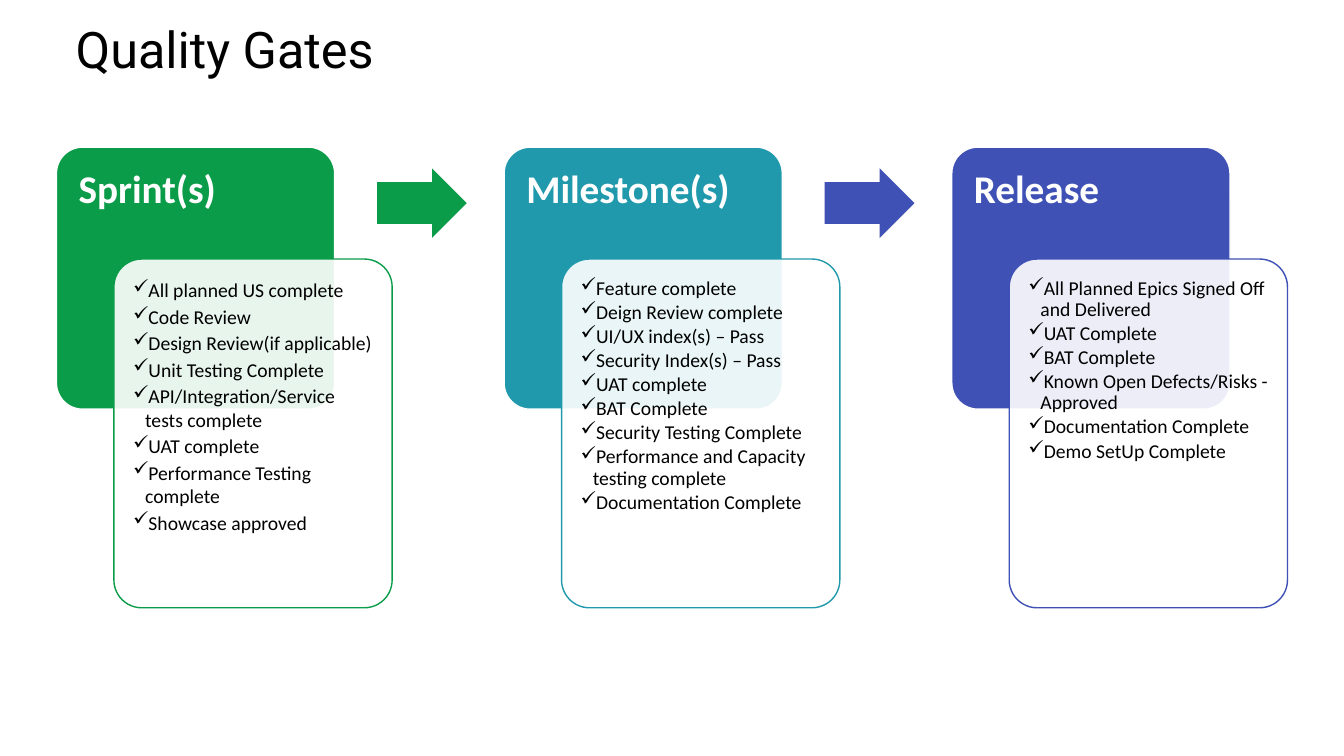
from lxml import etree
from pptx import Presentation
from pptx.dml.color import RGBColor
from pptx.enum import shapes, text
from pptx.oxml import ns
from pptx.util import Inches, Pt

COLOURS = {"black": "000000", "white": "FFFFFF", "green": "0B9C49",
           "teal": "2199AC", "indigo": "3F51B5"}
GATES = [
    ("Sprint(s)", "green", 1.0, [
        "All planned US complete", "Code Review", "Design Review(if applicable)",
        "Unit Testing Complete", "API/Integration/Service tests complete",
        "UAT complete", "Performance Testing complete", "Showcase approved"]),
    ("Milestone(s)", "teal", 0.9, [
        "Feature complete", "Deign Review complete", "UI/UX index(s) – Pass",
        "Security Index(s) – Pass", "UAT complete", "BAT Complete",
        "Security Testing Complete", "Performance and Capacity testing complete",
        "Documentation Complete"]),
    ("Release", "indigo", 0.9, [
        "All Planned Epics Signed Off and Delivered", "UAT Complete", "BAT Complete",
        "Known Open Defects/Risks - Approved", "Documentation Complete",
        "Demo SetUp Complete"]),
]
ARROW_COLOURS = ["green", "indigo"]
GATE_LEFT, GATE_TOP, GATE_PITCH = 0.56, 1.46, 4.44
CARD_WIDTH = 2.76


def rgb(name):
    return RGBColor.from_string(COLOURS[name])


def style_font(para, name, size, colour, bold=False):
    for span in para.runs:
        span.font.name = name
        span.font.size = Pt(size)
        span.font.bold = bold
        span.font.color.rgb = rgb(colour)


def add_block(page, kind, box, fill, line=None, adjustments=(0.1,)):
    block = page.shapes.add_shape(kind, *map(Inches, box))
    block.shadow.inherit = False
    for index, value in enumerate(adjustments):
        block.adjustments[index] = value
    block.fill.solid()
    block.fill.fore_color.rgb = rgb(fill)
    if line:
        block.line.color.rgb = rgb(line)
        block.line.width = Pt(1)
    else:
        block.line.fill.background()
    return block


def set_opacity(block, percent):
    colour = block._element.spPr.find(ns.qn("a:solidFill"))[0]
    etree.SubElement(colour, ns.qn("a:alpha")).set("val", str(percent * 1000))


def add_text(page, box, insets):
    frame = page.shapes.add_textbox(*map(Inches, box)).text_frame
    frame.word_wrap = True
    frame.vertical_anchor = text.MSO_ANCHOR.TOP
    (frame.margin_left, frame.margin_top,
     frame.margin_right, frame.margin_bottom) = map(Inches, insets)
    return frame


def add_check(para):
    """Give the paragraph a tick bullet with a hanging indent."""
    properties = para._p.get_or_add_pPr()
    properties.set("marL", str(Inches(0.12)))
    properties.set("indent", str(-Inches(0.12)))
    etree.SubElement(properties, ns.qn("a:buChar")).set("char", "✓")


def add_title(page, box):
    title = page.shapes.title
    title.left, title.top, title.width, title.height = map(Inches, box)
    frame = title.text_frame
    frame.text = "Quality Gates"
    frame.vertical_anchor = text.MSO_ANCHOR.MIDDLE
    para = frame.paragraphs[0]
    para.alignment = text.PP_ALIGN.LEFT
    para.line_spacing = 0.9
    style_font(para, "Roboto", 36, "black")


def add_gate(page, left, top, heading, colour, spacing, checks):
    """Place a coloured card with the checklist card overlapping it."""
    rounded = shapes.MSO_SHAPE.ROUNDED_RECTANGLE
    add_block(page, rounded, (left, top, CARD_WIDTH, 2.6), colour, "white")
    frame = add_text(page, (left, top, CARD_WIDTH, 1.11), (0.22, 0.22, 0.22, 0.12))
    frame.text = heading
    frame.paragraphs[0].line_spacing = 0.9
    style_font(frame.paragraphs[0], "Calibri", 28, "white", bold=True)

    left, top = left + 0.57, top + 1.11
    card = add_block(page, rounded, (left, top, CARD_WIDTH, 3.46), "white", colour)
    set_opacity(card, 90)
    frame = add_text(page, (left + 0.08, top + 0.08, CARD_WIDTH - 0.16, 3.3), [0.11] * 4)
    frame.text = "\n".join(checks)
    for para in frame.paragraphs:
        add_check(para)
        para.line_spacing = spacing
        para.space_after = Pt(2.1)
        style_font(para, "Calibri", 14, "black")


def add_arrow(page, left, top, colour):
    add_block(page, shapes.MSO_SHAPE.RIGHT_ARROW, (left, top, 0.89, 0.69), colour,
              adjustments=(0.6, 0.5))


def main():
    deck = Presentation()
    deck.slide_width, deck.slide_height = Inches(13.33), Inches(7.5)
    page = deck.slides.add_slide(deck.slide_layouts[5])
    add_title(page, (0.65, 0.19, 11.94, 0.66))
    for index, gate in enumerate(GATES):
        add_gate(page, GATE_LEFT + index * GATE_PITCH, GATE_TOP, *gate)
    for index, colour in enumerate(ARROW_COLOURS):
        add_arrow(page, GATE_LEFT + index * GATE_PITCH + 3.18, GATE_TOP + 0.21, colour)
    deck.save("out.pptx")


if __name__ == "__main__":
    main()
